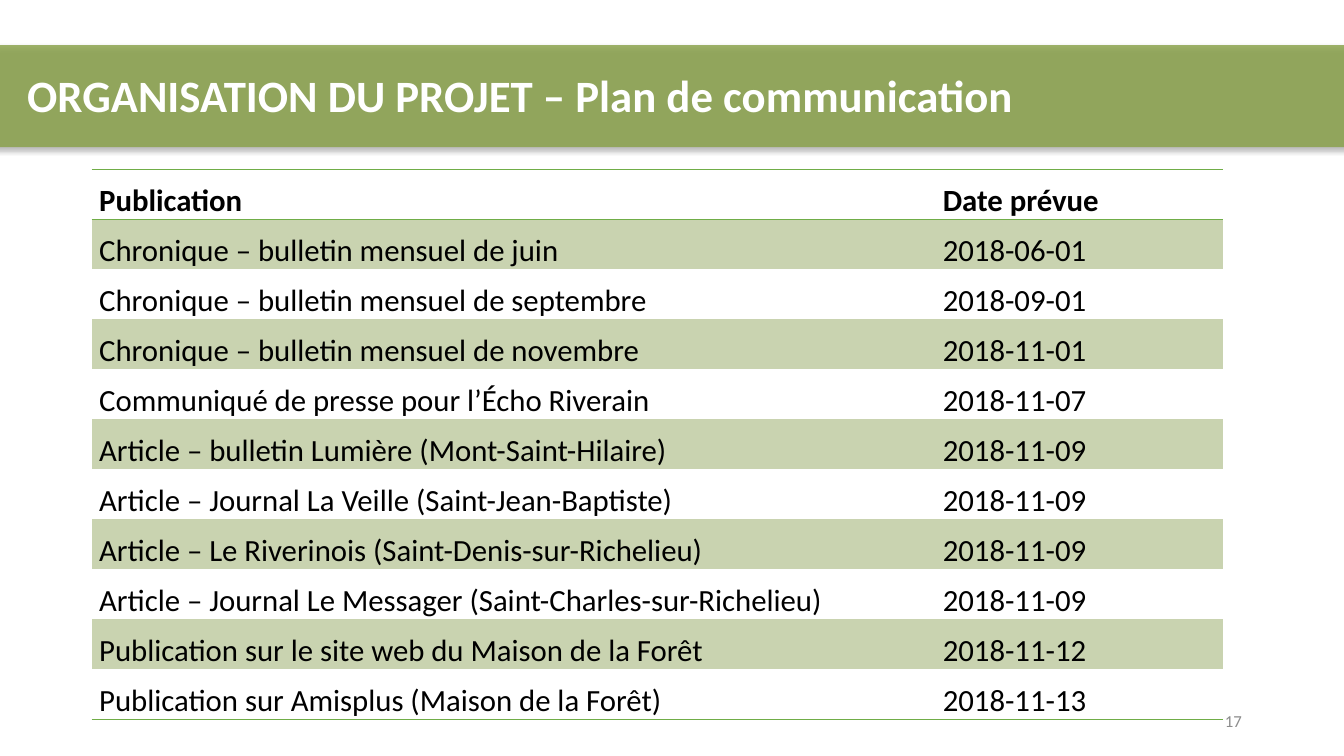
"""Build the communication plan slide: a title band over a table of publications."""
from dataclasses import dataclass

from lxml import etree
from pptx import Presentation
from pptx import util as u
from pptx.dml.color import RGBColor
from pptx.enum import shapes, text
from pptx.oxml import ns

HEADING = "ORGANISATION DU PROJET – Plan de communication"
PAGE = "17"
PLAN = [
    ("Publication", "Date prévue"),
    ("Chronique – bulletin mensuel de juin", "2018-06-01"),
    ("Chronique – bulletin mensuel de septembre", "2018-09-01"),
    ("Chronique – bulletin mensuel de novembre", "2018-11-01"),
    ("Communiqué de presse pour l’Écho Riverain", "2018-11-07"),
    ("Article – bulletin Lumière (Mont-Saint-Hilaire)", "2018-11-09"),
    ("Article – Journal La Veille (Saint-Jean-Baptiste)", "2018-11-09"),
    ("Article – Le Riverinois (Saint-Denis-sur-Richelieu)", "2018-11-09"),
    ("Article – Journal Le Messager (Saint-Charles-sur-Richelieu)", "2018-11-09"),
    ("Publication sur le site web du Maison de la Forêt", "2018-11-12"),
    ("Publication sur Amisplus (Maison de la Forêt)", "2018-11-13"),
]
COLUMNS = (21.26, 7.26)
ROW_HEIGHT = 1.26


@dataclass(frozen=True)
class Theme:
    """Colours, font and type sizes of the slide."""
    font: str = "Calibri"
    band: str = "87A045"
    stripe: str = "C9D3B0"
    rule: str = "70AD47"
    heading: str = "FFFFFF"
    body: str = "000000"
    page: str = "8C8C8C"
    heading_size: int = 32
    body_size: int = 22
    page_size: int = 12


THEME = Theme()


def box(left, top, width, height):
    return [u.Cm(value) for value in (left, top, width, height)]


def style(paragraph, size, colour, align, bold=False):
    paragraph.alignment = align
    font = paragraph.font
    font.name, font.size, font.bold = THEME.font, u.Pt(size), bold
    font.color.rgb = RGBColor.from_string(colour)


def add_alpha(colour, percent):
    etree.SubElement(colour, ns.qn("a:alpha"), val=str(percent * 1000))


def add_band(slide):
    band = slide.shapes.add_shape(
        shapes.MSO_SHAPE.ROUNDED_RECTANGLE, *box(-0.48, 1.14, 34.8, 2.57))
    band.shadow.inherit = False
    band.line.fill.background()
    band.fill.solid()
    band.fill.fore_color.rgb = RGBColor.from_string(THEME.band)
    add_alpha(band.element.find(".//" + ns.qn("a:srgbClr")), 80)
    shadow = etree.SubElement(
        band.element.find(".//" + ns.qn("a:effectLst")), ns.qn("a:outerShdw"),
        blurRad=str(u.Pt(3.5)), dist=str(u.Pt(2.2)), dir="5400000", rotWithShape="0")
    add_alpha(etree.SubElement(shadow, ns.qn("a:srgbClr"), val="000000"), 32)
    slide.shapes.element.insert(2, band.element)


def add_heading(slide):
    heading = slide.shapes.title
    heading.left, heading.top, heading.width, heading.height = box(0.43, 1.7, 33.43, 1.5)
    frame = heading.text_frame
    frame.text = HEADING
    frame.word_wrap = True
    frame.auto_size = text.MSO_AUTO_SIZE.SHAPE_TO_FIT_TEXT
    frame.vertical_anchor = text.MSO_ANCHOR.TOP
    paragraph = frame.paragraphs[0]
    paragraph.line_spacing = u.Pt(35)
    style(paragraph, THEME.heading_size, THEME.heading, text.PP_ALIGN.LEFT, True)


def add_rule(cell, side):
    properties = cell.fill and cell.text_frame and cell.margin_left is not None
    if properties:
        line = etree.SubElement(
            cell.text_frame._txBody.getparent().get_or_add_tcPr(),
            ns.qn("a:" + side), w=str(u.Pt(1)))
        fill = etree.SubElement(line, ns.qn("a:solidFill"))
        etree.SubElement(fill, ns.qn("a:srgbClr"), val=THEME.rule)


def fill_cell(cell, wording, row):
    cell.margin_left = cell.margin_right = u.Cm(0.19)
    cell.margin_top = cell.margin_bottom = 0
    cell.text = wording
    paragraph = cell.text_frame.paragraphs[0]
    paragraph.line_spacing = 1.35
    paragraph.space_after = u.Pt(12)
    style(paragraph, THEME.body_size, THEME.body, text.PP_ALIGN.JUSTIFY, row == 0)
    if row == 0:
        add_rule(cell, "lnT")
    if row in (0, len(PLAN) - 1):
        add_rule(cell, "lnB")
    if row % 2:
        cell.fill.solid()
        cell.fill.fore_color.rgb = RGBColor.from_string(THEME.stripe)
    else:
        cell.fill.background()


def add_plan(slide):
    holder = slide.shapes.add_table(
        len(PLAN), len(COLUMNS),
        *box(2.31, 4.27, sum(COLUMNS), ROW_HEIGHT * len(PLAN)))
    holder.element.find(".//" + ns.qn("a:tableStyleId")).text = (
        "{2D5ABB26-0587-4C30-8999-92F81FD0307C}")
    plan = holder.table
    plan.horz_banding = False
    for column, width in zip(plan.columns, COLUMNS):
        column.width = u.Cm(width)
    for row, entry in enumerate(PLAN):
        plan.rows[row].height = u.Cm(ROW_HEIGHT)
        for column, wording in enumerate(entry):
            fill_cell(plan.cell(row, column), wording, row)


def add_page(slide):
    frame = slide.shapes.add_textbox(*box(23.93, 17.65, 7.62, 1.02)).text_frame
    frame.word_wrap = True
    frame.vertical_anchor = text.MSO_ANCHOR.MIDDLE
    frame.text = PAGE
    style(frame.paragraphs[0], THEME.page_size, THEME.page, text.PP_ALIGN.RIGHT)


def main():
    deck = Presentation()
    deck.slide_width, deck.slide_height = u.Cm(33.87), u.Cm(19.05)
    slide = deck.slides.add_slide(deck.slide_layouts[5])
    add_band(slide)
    add_heading(slide)
    add_plan(slide)
    add_page(slide)
    deck.save("out.pptx")


if __name__ == "__main__":
    main()
